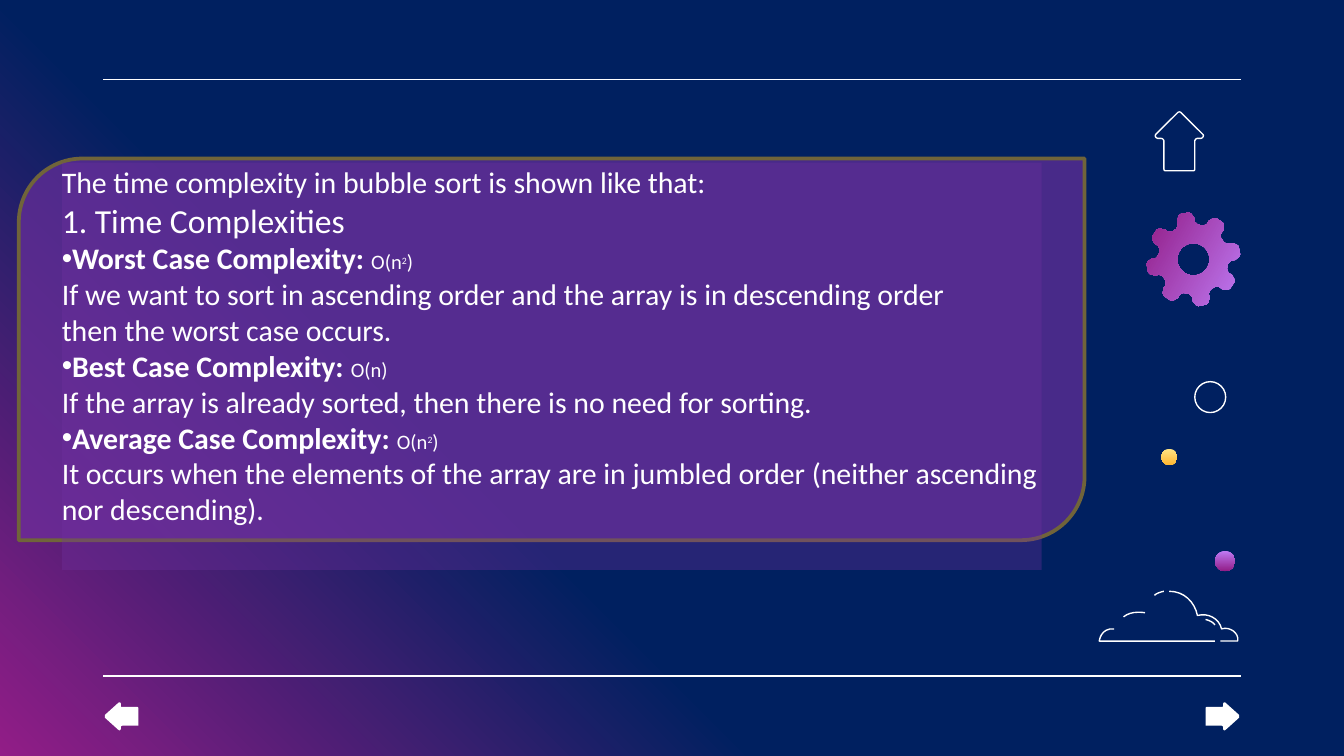
"""Build a slide on the time complexity of bubble sort."""
from math import cos, radians, sin

from lxml.etree import SubElement
from pptx import Presentation
from pptx.dml.color import RGBColor
from pptx.enum.shapes import MSO_CONNECTOR as CONNECTOR, MSO_SHAPE as SHAPE
from pptx.enum.text import MSO_ANCHOR as ANCHOR, MSO_AUTO_SIZE as AUTO_SIZE
from pptx.oxml.ns import qn
from pptx.util import Inches, Pt

color = RGBColor.from_string
WHITE, PURPLE = "FFFFFF", "7030A0"
LILAC, MAGENTA = "BE7AF3", "921D87"
HARD_SPACE = chr(160)


def fill_gradient(fill, start, end, angle, start_position=0):
    fill.gradient()
    fill.gradient_angle = angle
    for stop, shade, position in zip(fill.gradient_stops, (start, end), (start_position, 1)):
        stop.color.rgb = color(shade)
        stop.position = position


def draw_outline(segments, closed=False, hole=()):
    points = [segments[0]]
    for segment in segments[1:]:
        if len(segment) == 2:
            points.append(segment)
            continue
        x0, y0 = points[-1]
        x1, y1, x2, y2, x3, y3 = segment
        for step in range(1, 9):
            t = step / 8
            a, b, c, d = (1 - t) ** 3, 3 * t * (1 - t) ** 2, 3 * t**2 * (1 - t), t**3
            points.append((a * x0 + b * x1 + c * x2 + d * x3, a * y0 + b * y1 + c * y2 + d * y3))
    points = [(Inches(x), Inches(y)) for x, y in points]
    builder = slide.shapes.build_freeform(*points[0])
    builder.add_line_segments(points[1:], close=closed)
    if hole:
        hole = [(Inches(x), Inches(y)) for x, y in hole]
        builder.move_to(*hole[0])
        builder.add_line_segments(hole[1:], close=True)
    shape = builder.convert_to_shape()
    shape.shadow.inherit = False
    shape.fill.background()
    shape.line.fill.background()
    return shape


presentation = Presentation()
presentation.slide_width = Inches(10)
presentation.slide_height = presentation.slide_width * 9 // 16
slide = presentation.slides.add_slide(presentation.slide_layouts[1])
title, body = slide.placeholders
title._element.getparent().remove(title._element)
fill_gradient(slide.background.fill, "002060", MAGENTA, 225, 0.64)

for y in (0.59, 5.03):
    rule = slide.shapes.add_connector(CONNECTOR.STRAIGHT, Inches(0.77), Inches(y), Inches(9.23), Inches(y))
    rule.line.color.rgb = color(WHITE)
    rule.line.width = Pt(0.75)
    SubElement(rule._element.spPr, qn("a:effectLst"))

tooth = [(-18, 0.26), (-13, 0.28), (-12, 0.31), (-8, 0.34), (-5, 0.35)]
tooth += [(-angle, radius) for angle, radius in reversed(tooth)]
gear_x, gear_y = 8.88, 1.93
rim = [(radians(45 * number - 11 + angle), radius) for number in range(8) for angle, radius in tooth]
hub = [(radians(10 * step), 0.12) for step in range(36)]
rim, hub = ([(gear_x + r * cos(a), gear_y + r * sin(a)) for a, r in ring] for ring in (rim, hub))
gear = draw_outline(rim, True, hub)
fill_gradient(gear.fill, LILAC, MAGENTA, 150)

cloud = [
    [(8.7, 4.4), (8.81, 4.4, 8.89, 4.48, 8.91, 4.58), (8.99, 4.56, 9.07, 4.6, 9.09, 4.68),
     (9.15, 4.66, 9.22, 4.71, 9.21, 4.77), (9.08, 4.77)],
    [(8.66, 4.4), (8.66, 4.4, 8.61, 4.41, 8.59, 4.43)],
    [(9.04, 4.77), (8.18, 4.77), (8.18, 4.77, 8.19, 4.67, 8.29, 4.68)],
    [(8.97, 4.61), (8.97, 4.61, 9.02, 4.62, 9.04, 4.65)],
    [(8.52, 4.56), (8.52, 4.56, 8.42, 4.54, 8.36, 4.59)],
]
home = [
    (8.95, 1), (8.79, 0.84), (8.78, 0.83, 8.77, 0.83, 8.76, 0.84), (8.6, 1),
    (8.59, 1.01, 8.6, 1.03, 8.62, 1.03), (8.64, 1.03), (8.65, 1.03, 8.66, 1.04, 8.66, 1.05),
    (8.66, 1.25), (8.66, 1.26, 8.66, 1.27, 8.67, 1.27), (8.88, 1.27),
    (8.89, 1.27, 8.89, 1.26, 8.89, 1.25), (8.89, 1.05), (8.89, 1.04, 8.9, 1.03, 8.91, 1.03),
    (8.93, 1.03), (8.95, 1.03, 8.96, 1.01, 8.95, 1),
]
for segments in cloud + [home]:
    shape = draw_outline(segments, segments is home)
    shape.line.color.rgb = color(WHITE)
    shape.line.width = Pt(0.75)

for x, y, size, shades in [
    (8.89, 2.84, 0.23, None),
    (8.64, 3.34, 0.12, ("FFE485", "FFB632")),
    (9.04, 4.1, 0.15, (LILAC, MAGENTA)),
]:
    dot = slide.shapes.add_shape(SHAPE.OVAL, Inches(x), Inches(y), Inches(size), Inches(size))
    dot.shadow.inherit = False
    if shades:
        fill_gradient(dot.fill, *shades, 270)
        dot.line.fill.background()
    else:
        dot.fill.background()
        dot.line.color.rgb = color(WHITE)
        dot.line.width = Pt(0.75)

next_arrow = [
    (9.12, 5.43), (9.22, 5.34), (9.22, 5.34, 9.22, 5.33, 9.22, 5.32), (9.12, 5.23),
    (9.11, 5.22, 9.1, 5.23, 9.1, 5.24), (9.1, 5.25), (9.1, 5.26, 9.1, 5.26, 9.09, 5.26),
    (8.98, 5.26), (8.97, 5.26, 8.97, 5.27, 8.97, 5.27), (8.97, 5.39),
    (8.97, 5.4, 8.97, 5.4, 8.98, 5.4), (9.09, 5.4), (9.1, 5.4, 9.1, 5.41, 9.1, 5.41),
    (9.1, 5.42), (9.1, 5.43, 9.11, 5.44, 9.12, 5.43),
]
back_arrow = [[value if i % 2 else 10 - value for i, value in enumerate(segment)] for segment in next_arrow]
for segments in (next_arrow, back_arrow):
    arrow = draw_outline(segments, True)
    arrow.fill.solid()
    arrow.fill.fore_color.rgb = color(WHITE)

panel = slide.shapes.add_shape(SHAPE.ROUND_2_DIAG_RECTANGLE, Inches(0.14), Inches(1.18), Inches(7.93), Inches(2.84))
panel.shadow.inherit = False
panel.line.color.rgb = color("70643A")
panel.line.width = Pt(2)

slide.shapes._spTree.append(body._element)
body.left, body.top, body.width, body.height = Inches(0.46), Inches(1.21), Inches(7.29), Inches(3.03)
for shape, opacity in ((panel, 65), (body, 34)):
    shape.fill.solid()
    shape.fill.fore_color.rgb = color(PURPLE)
    shade = shape._element.spPr.find(qn("a:solidFill"))[0]
    SubElement(shade, qn("a:alpha"), val=str(opacity * 1000))

frame = body.text_frame
frame.word_wrap = True
frame.auto_size = AUTO_SIZE.NONE
frame.vertical_anchor = ANCHOR.TOP
frame.margin_left = frame.margin_right = frame.margin_bottom = 0
frame.margin_top = Inches(0.01)

cases = [
    ("Worst Case Complexity:" + HARD_SPACE, "O(n", "2", ")",
     "If we want to sort in ascending order and the array is in descending order then"
     + HARD_SPACE + "the worst case occurs."),
    ("Best Case Complexity:" + HARD_SPACE, "O(n)", "", "",
     "If the array is already sorted, then there is no need for sorting."),
    ("Average Case Complexity:" + HARD_SPACE, "O(n", "2", ")",
     "It occurs when the elements of the array are in jumbled order (neither ascending nor descending)."),
]
intro = [("The time complexity in bubble sort is shown like that:", 16), ("1. Time Complexities", 18)]
paragraphs = [intro] + [list(zip(case, (16, 11, 9, 11, 16))) for case in cases]
for number, pieces in enumerate(paragraphs):
    paragraph = frame.add_paragraph() if number else frame.paragraphs[0]
    properties = paragraph._p.get_or_add_pPr()
    properties.set("marL", "0")
    properties.set("indent", "0")
    if number:
        SubElement(properties, qn("a:buChar"), char="•")
    else:
        SubElement(properties, qn("a:buNone"))
    paragraph.space_before = Pt(0)
    for index, (text, size) in enumerate(pieces):
        if index == len(pieces) - 1:
            paragraph.add_line_break()
            SubElement(paragraph._p[-1], qn("a:rPr"), sz="1100")
        if not text:
            continue
        run = paragraph.add_run()
        run.text = text
        run.font.name = "Calibri"
        run.font.size = Pt(size)
        run.font.color.rgb = color(WHITE)
        run.font.bold = number > 0 and index == 0
        if size == 9:
            run.font._element.set("baseline", "30000")

presentation.save("out.pptx")
